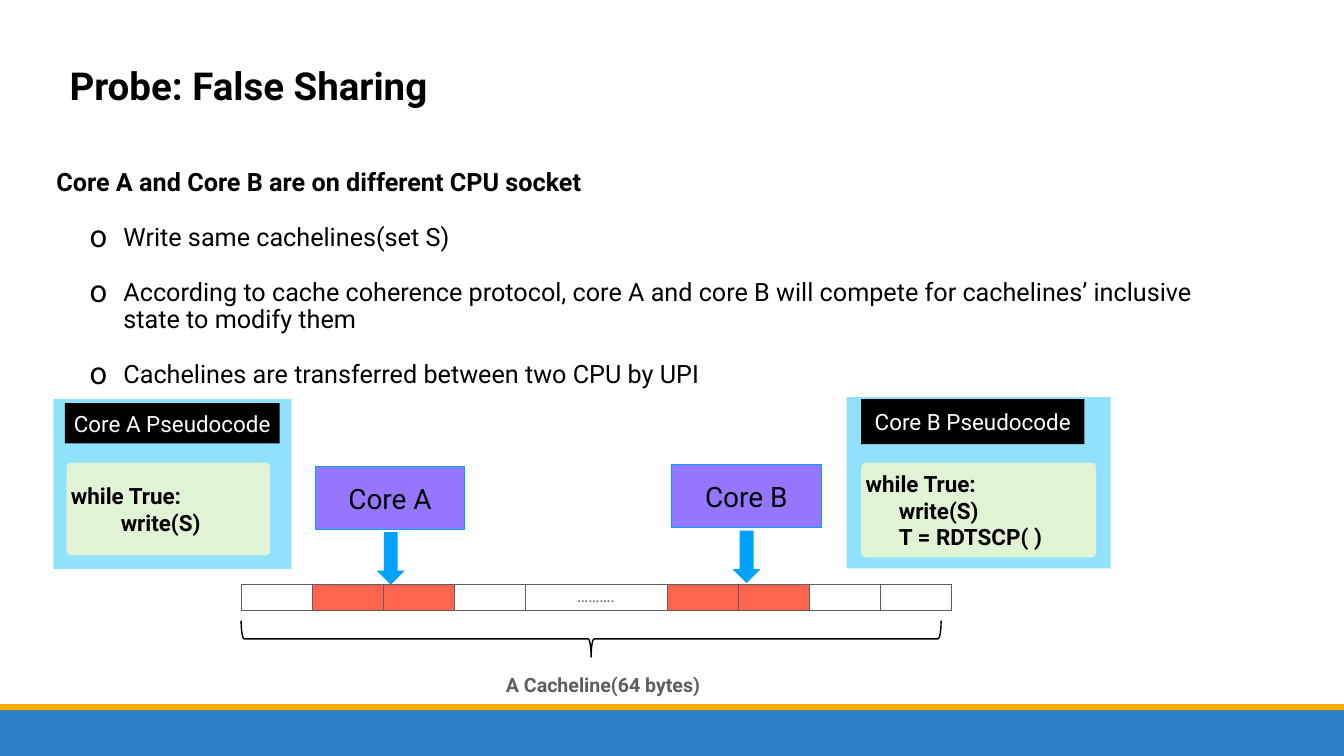
from lxml import etree
from pptx import Presentation
from pptx import util as u
from pptx.dml import color
from pptx.enum import shapes, text
from pptx.oxml import ns

PX = 9144  # 100 px to the inch
FONT = "Roboto"
COLORS = {
    "black": "000000", "white": "FFFFFF", "gray": "5E5E5E", "red": "FF644E",
    "purple": "9577FF", "blue": "00A2FF", "sky": "90E1FB", "green": "E0F3D4",
    "band": "2C81C7", "stripe": "FEAD00",
}
TITLE = "Probe: False Sharing"
HEADING = "Core A and Core B are on different CPU socket"
BULLETS = [
    "Write same cachelines(set S)",
    "According to cache coherence protocol, core A and core B will compete "
    "for cachelines’ inclusive state to modify them",
    "Cachelines are transferred between two CPU by UPI",
]
# (text, width in units, is written)
CELLS = [("", 1, False), ("", 1, True), ("", 1, True), ("", 1, False), ("……….", 2, False),
         ("", 1, True), ("", 1, True), ("", 1, False), ("", 1, False)]
CELL_UNIT = 141
CAPTION = "A Cacheline(64 bytes)"
# Boxes are left, top, width, height
CORES = [
    {"name": "Core A", "box": (626, 925, 296, 126), "arrow": (748, 1056, 55, 104),
     "panel": (106, 792, 472, 337), "label": (129, 800, 426, 80),
     "code_box": (132, 918, 404, 184), "code": ["while True:", "write(S)"], "indent": 99},
    {"name": "Core B", "box": (1333, 921, 296, 126), "arrow": (1454, 1053, 55, 104),
     "panel": (1680, 788, 524, 340), "label": (1709, 792, 443, 89),
     "code_box": (1709, 918, 466, 188),
     "code": ["while True:", "write(S)", "T = RDTSCP( )"], "indent": 66},
]
BANDS = [((0, 1399, 2667, 101), "band"), ((0, 1397, 2667, 12), "stripe")]


def rgb(name):
    return color.RGBColor.from_string(COLORS[name])


def emu(box):
    return [u.Emu(length * PX) for length in box]


def write(shape, lines, size, ink="black", bold=False, align=text.PP_ALIGN.CENTER,
          anchor=text.MSO_ANCHOR.MIDDLE):
    """Fill a shape with one paragraph per line, all in one style."""
    frame = shape.text_frame
    frame.word_wrap = True
    frame.vertical_anchor = anchor
    frame.margin_left = frame.margin_right = u.Emu(6 * PX)
    frame.margin_top = frame.margin_bottom = u.Emu(6 * PX)
    frame.text = "\n".join(lines)
    for paragraph in frame.paragraphs:
        paragraph.alignment = align
        style(paragraph, size, ink, bold)
    return frame.paragraphs


def style(paragraph, size, ink, bold):
    for run in paragraph.runs:
        run.font.size = u.Pt(size)
        run.font.name = FONT
        run.font.bold = bold
        run.font.color.rgb = rgb(ink)


def add_shape(slide, kind, box, fill=None, line=None, line_width=1):
    shape = slide.shapes.add_shape(kind, *emu(box))
    shape.shadow.inherit = False
    if fill:
        shape.fill.solid()
        shape.fill.fore_color.rgb = rgb(fill)
    else:
        shape.fill.background()
    if line:
        shape.line.color.rgb = rgb(line)
        shape.line.width = u.Pt(line_width)
    else:
        shape.line.fill.background()
    return shape


def indent(paragraph, left, first=0):
    properties = paragraph._p.get_or_add_pPr()
    properties.set("marL", str(left * PX))
    properties.set("indent", str(first * PX))
    return properties


def add_body(slide):
    box = slide.shapes.add_textbox(*emu((106, 330, 2369, 512)))
    paragraphs = write(box, [HEADING, *BULLETS], 36, align=text.PP_ALIGN.LEFT,
                       anchor=text.MSO_ANCHOR.TOP)
    for paragraph in paragraphs:
        paragraph.line_spacing = 0.9
        paragraph.space_before = u.Pt(40)
    paragraphs[0].space_before = u.Pt(45)
    style(paragraphs[0], 36, "black", True)
    for paragraph in paragraphs[1:]:
        paragraph.level = 1
        properties = indent(paragraph, 133, -67)
        etree.SubElement(properties, ns.qn("a:buSzPct"), val="123000")
        etree.SubElement(properties, ns.qn("a:buFont"), typeface=FONT)
        etree.SubElement(properties, ns.qn("a:buChar"), char="o")


def add_borders(cell):
    properties = cell._tc.get_or_add_tcPr()
    for position, side in enumerate(("lnL", "lnR", "lnT", "lnB")):
        line = etree.Element(ns.qn("a:" + side), w=str(u.Pt(1)))
        fill = etree.SubElement(line, ns.qn("a:solidFill"))
        etree.SubElement(fill, ns.qn("a:srgbClr"), val=COLORS["gray"])
        properties.insert(position, line)


def add_cacheline(slide):
    width = CELL_UNIT * sum(units for _, units, _ in CELLS)
    frame = slide.shapes.add_table(1, len(CELLS), *emu((478, 1160, width, 40)))
    table = frame.table
    table.first_row = table.horz_banding = False
    for column, (label, units, written) in enumerate(CELLS):
        table.columns[column].width = u.Emu(units * CELL_UNIT * PX)
        cell = table.cell(0, column)
        if written:
            cell.fill.solid()
            cell.fill.fore_color.rgb = rgb("red")
        else:
            cell.fill.background()
        add_borders(cell)
        if label:
            cell.text_frame.text = label
            paragraph = cell.text_frame.paragraphs[0]
            paragraph.alignment = text.PP_ALIGN.CENTER
            style(paragraph, 24, "gray", False)

    brace = add_shape(slide, shapes.MSO_SHAPE.LEFT_BRACE, (1137, 573, 72, 1389),
                      line="black", line_width=2)
    brace.rotation = 270
    caption = slide.shapes.add_textbox(*emu((912, 1330, 569, 58)))
    write(caption, [CAPTION], 28, "gray", True)


def add_core(slide, core):
    rectangle = shapes.MSO_SHAPE.RECTANGLE
    write(add_shape(slide, rectangle, core["box"], "purple", "blue"), [core["name"]], 40)
    add_shape(slide, shapes.MSO_SHAPE.DOWN_ARROW, core["arrow"], "blue")
    add_shape(slide, rectangle, core["panel"], "sky")
    code = add_shape(slide, shapes.MSO_SHAPE.ROUNDED_RECTANGLE, core["code_box"], "green")
    code.adjustments[0] = 0.05
    paragraphs = write(code, core["code"], 32, bold=True, align=text.PP_ALIGN.LEFT)
    for paragraph in paragraphs[1:]:
        indent(paragraph, core["indent"])
    label = add_shape(slide, rectangle, core["label"], "black")
    write(label, [core["name"] + " Pseudocode"], 32, "white")


def main():
    presentation = Presentation()
    presentation.slide_width, presentation.slide_height = emu((2667, 1500))
    slide = presentation.slides.add_slide(presentation.slide_layouts[5])
    title = slide.shapes.title
    title.left, title.top, title.width, title.height = emu((132, 118, 2403, 157))
    write(title, [TITLE], 55, bold=True, align=text.PP_ALIGN.LEFT, anchor=text.MSO_ANCHOR.TOP)
    add_body(slide)
    add_cacheline(slide)
    for box, fill in BANDS:
        add_shape(slide, shapes.MSO_SHAPE.RECTANGLE, box, fill)
    for core in CORES:
        add_core(slide, core)
    presentation.save("out.pptx")


if __name__ == "__main__":
    main()
